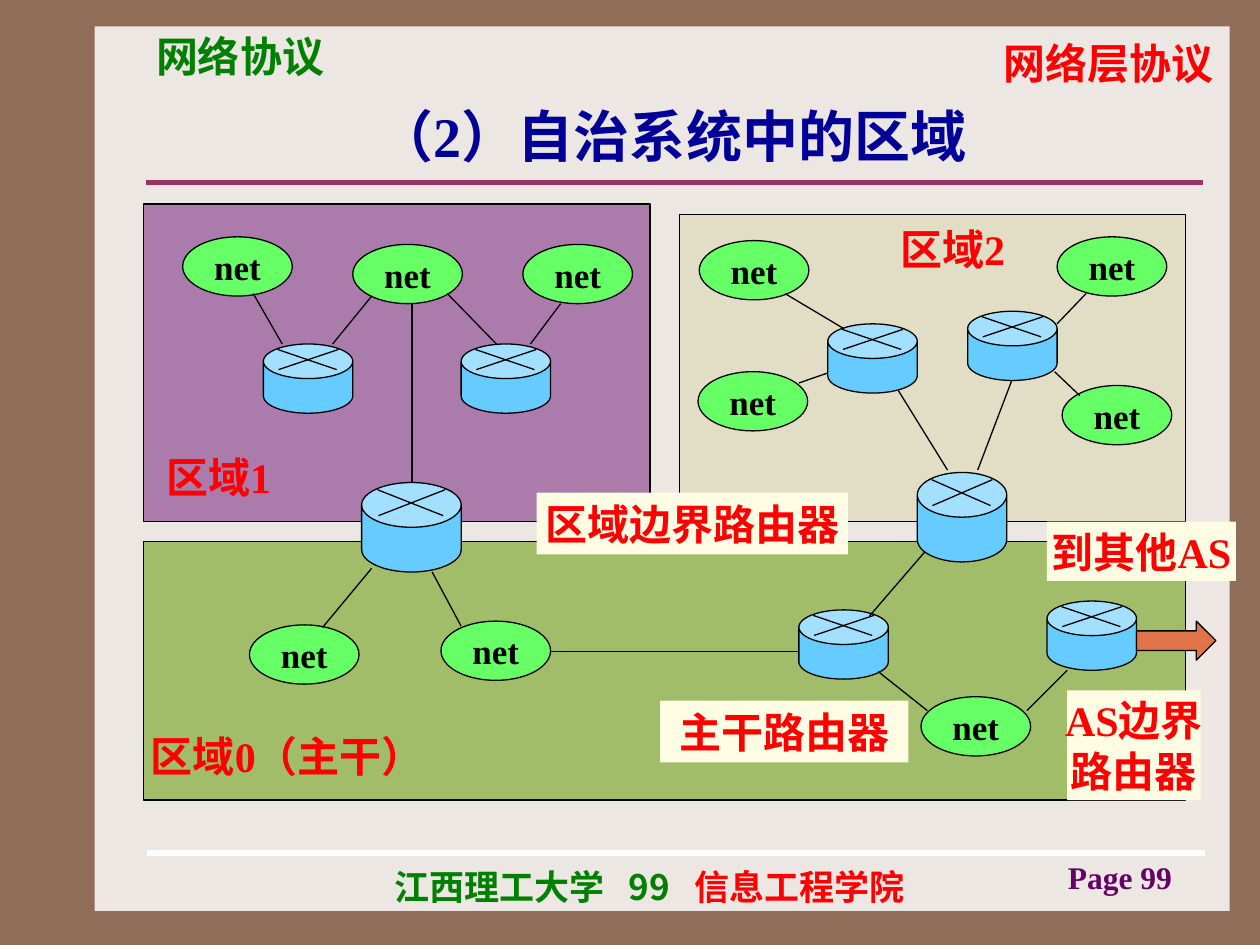
import pptx
import pptx.util
import pptx.dml.color
import pptx.enum.shapes
import pptx.enum.text
import pptx.oxml.ns
import lxml.etree

Inches, Pt = pptx.util.Inches, pptx.util.Pt
RGB = pptx.dml.color.RGBColor.from_string
MSO = pptx.enum.shapes.MSO_SHAPE
ALIGN = pptx.enum.text.PP_ALIGN
ANCHOR = pptx.enum.text.MSO_ANCHOR
qn = pptx.oxml.ns.qn

COLORS = {
    "frame": "906D58", "page": "EDE7E3", "rule": "993366", "white": "FFFFFF",
    "black": "000000", "red": "FF0000", "green": "008000", "navy": "000099",
    "purple": "660066", "area0": "A1BD69", "area1": "AB7BAC", "area2": "E1DEC5",
    "router": "66CCFF", "net": "66FF66", "label": "FEFDE3", "arrow": "DF7449",
}
SERIF = "Times New Roman"

prs = pptx.Presentation()
prs.slide_width, prs.slide_height = Inches(10), Inches(7.5)
s = prs.slides.add_slide(prs.slide_layouts[5])
s.background.fill.solid()
s.background.fill.fore_color.rgb = RGB(COLORS["frame"])


def add_shape(shapes, kind, box, fill=None, line=None, text="", size=24, font=SERIF,
              color="red", align=ALIGN.CENTER, anchor=ANCHOR.MIDDLE, wrap=False):
    sp = shapes.add_shape(kind, *map(Inches, box))
    sp.shadow.inherit = False
    if fill:
        sp.fill.solid()
        sp.fill.fore_color.rgb = RGB(COLORS[fill])
    else:
        sp.fill.background()
    if line:
        sp.line.color.rgb = RGB(COLORS[line])
        sp.line.width = Pt(0.75)
    else:
        sp.line.fill.background()
    if text:
        tf = sp.text_frame
        tf.word_wrap, tf.vertical_anchor = wrap, anchor
        tf.text = text
        for p in tf.paragraphs:
            p.alignment = align
            p.font.size, p.font.name, p.font.bold = Pt(size), font, True
            p.font.color.rgb = RGB(COLORS[color])
    return sp


def add_line(shapes, x1, y1, x2, y2, color="black", width=0.75):
    c = shapes.add_connector(pptx.enum.shapes.MSO_CONNECTOR.STRAIGHT, *map(Inches, (x1, y1, x2, y2)))
    c.line.color.rgb = RGB(COLORS[color])
    c.line.width = Pt(width)
    lxml.etree.SubElement(c._element.spPr, qn("a:effectLst"))


add_shape(s.shapes, MSO.RECTANGLE, (0.75, 0.21, 9.01, 7.02), "page")
for box, text, size, font, color, align in [
    ((5.08, 0.25, 4.65, 0.5), "网络层协议", 24, "Arial", "red", ALIGN.RIGHT),
    ((1.14, 0.19, 2.6, 0.5), "网络协议", 24, "Arial", "green", ALIGN.LEFT),
    ((7.98, 6.76, 1.42, 0.35), "Page 99", 18, SERIF, "purple", ALIGN.RIGHT),
]:
    add_shape(s.shapes, MSO.RECTANGLE, box, text=text, size=size, font=font, color=color,
              align=align, anchor=ANCHOR.TOP, wrap=True)

tf = s.shapes.add_textbox(Inches(3.03), Inches(6.82), Inches(4.41), Inches(0.43)).text_frame
tf.word_wrap = True
p = tf.paragraphs[0]
tabs = lxml.etree.SubElement(p._p.get_or_add_pPr(), qn("a:tabLst"))
for stop in (1.86, 2.38):
    lxml.etree.SubElement(tabs, qn("a:tab"), pos=str(Inches(stop)), algn="l")
p.font.size, p.font.name, p.font.bold = Pt(20), "Noto Sans CJK SC", True
for text, color in [("江西理工大学\t99\t", "green"), ("信息工程学院", "red")]:
    r = p.add_run()
    r.text = text
    r.font.color.rgb = RGB(COLORS[color])

add_line(s.shapes, 1.16, 1.45, 9.55, 1.45, "rule", 3)
add_line(s.shapes, 1.17, 6.77, 9.56, 6.77, "white", 3)

for fill, box in [("area0", (1.14, 4.3, 8.27, 2.05)),
                  ("area2", (5.39, 1.7, 4.02, 2.44)),
                  ("area1", (1.14, 1.62, 4.02, 2.52))]:
    add_shape(s.shapes, MSO.RECTANGLE, box, fill, "black")

title = s.shapes.title
s.shapes._spTree.append(title._element)
title.left, title.top, title.width, title.height = map(Inches, (1.17, 0.75, 8.33, 0.64))
title.text_frame.text = "（2）自治系统中的区域"
title.text_frame.vertical_anchor = ANCHOR.MIDDLE
p = title.text_frame.paragraphs[0]
p.alignment = ALIGN.CENTER
p.font.size, p.font.name, p.font.bold = Pt(32), SERIF, True
p.font.color.rgb = RGB(COLORS["navy"])

routers = [(x, y, 0.71, 0.55) for x, y in
           [(2.09, 2.73), (3.66, 2.73), (7.68, 2.47), (6.57, 2.57), (6.34, 4.84), (8.31, 4.77)]]
routers += [(7.28, 3.75, 0.71, 0.71), (2.87, 3.83, 0.79, 0.71)]
for x, y, w, h in routers:
    group = s.shapes.add_group_shape()
    can = add_shape(group.shapes, MSO.CAN, (x, y, w, h), "router", "black")
    can.adjustments[0] = 0.5
    for start, end in [(0.16, 0.82), (0.84, 0.17)]:
        add_line(group.shapes, x + start * w, y + 0.08 * h, x + end * w, y + 0.37 * h)

for x, y in [(1.45, 1.88), (2.8, 1.94), (4.15, 1.94), (1.98, 4.96), (3.5, 4.93),
             (5.55, 1.91), (5.54, 2.95), (8.39, 1.88), (8.43, 3.06), (7.31, 5.53)]:
    add_shape(s.shapes, MSO.OVAL, (x, y, 0.87, 0.47), "net", "black", "net", 20, color="black")

for link in [
    (4.37, 5.17, 6.34, 5.17), (2.95, 4.51, 2.56, 4.98), (3.43, 4.54, 3.66, 4.97),
    (2.01, 2.33, 2.24, 2.73), (2.95, 2.35, 2.64, 2.73), (3.55, 2.33, 3.94, 2.73),
    (4.45, 2.41, 4.21, 2.73), (3.27, 2.41, 3.27, 3.83), (6.23, 2.33, 6.7, 2.61),
    (6.57, 2.96, 6.34, 3.04), (7.13, 3.1, 7.52, 3.73), (8.03, 3.02, 7.76, 3.73),
    (8.39, 2.57, 8.62, 2.33), (8.37, 2.95, 8.57, 3.14), (6.97, 5.33, 7.36, 5.64),
    (7.34, 4.38, 6.9, 4.89), (8.15, 5.64, 8.47, 5.32),
]:
    add_line(s.shapes, *link)

for text, fill, box in [
    ("区域0（主干）", None, (1.22, 5.8, 2.12, 0.39)),
    ("区域1", None, (1.3, 3.59, 0.87, 0.39)),
    ("区域2", None, (6.89, 1.78, 1.34, 0.39)),
    ("区域边界路由器", "label", (4.26, 3.91, 2.47, 0.49)),
    ("主干路由器", "label", (5.24, 5.56, 1.97, 0.49)),
    ("AS边界\n路由器", "label", (8.47, 5.48, 1.06, 0.87)),
    ("到其他AS", "label", (8.31, 4.14, 1.5, 0.47)),
]:
    add_shape(s.shapes, MSO.RECTANGLE, box, fill, text=text)

add_shape(s.shapes, MSO.RIGHT_ARROW, (9.02, 4.93, 0.63, 0.31), "arrow", "black")

prs.save("out.pptx")
